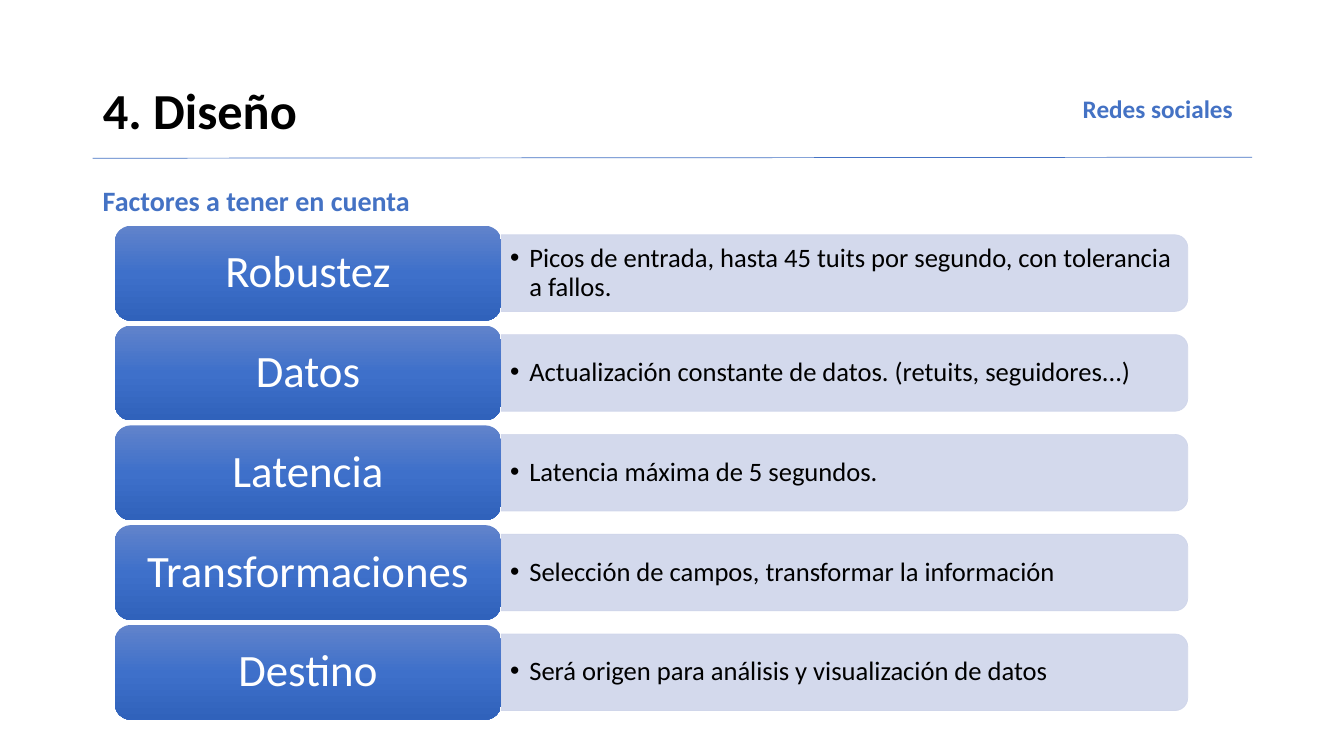
"""Build the design-factors slide: a heading, a rule and five labelled bars."""
import copy
from dataclasses import dataclass

import lxml.etree
import pptx
import pptx.dml.color
import pptx.enum.shapes
import pptx.enum.text
import pptx.oxml.ns
import pptx.util

Inches = pptx.util.Inches
Align = pptx.enum.text.PP_ALIGN
Anchor = pptx.enum.text.MSO_ANCHOR
Shape = pptx.enum.shapes.MSO_SHAPE
qn = pptx.oxml.ns.qn

FONT = "Calibri"
ACCENT = "4472C4"
BAR_COLOUR = "CFD5EA"
LABEL_GRADIENT = ((0, "6183CB"), (0.5, "3E70CA"), (1, "3062BB"))
ROW_TOP, ROW_PITCH = 2.24, 0.99
LABEL_LEFT, LABEL_WIDTH, LABEL_HEIGHT = 1.14, 3.83, 0.94
BAR_LENGTH, BAR_HEIGHT = 6.81, 0.76
TEXT_WIDTH, TEXT_HEIGHT = 6.78, 0.68


@dataclass(frozen=True)
class Factor:
    name: str
    detail: str


@dataclass(frozen=True)
class Heading:
    text: str
    left: float
    top: float
    width: float
    size: float


FACTORS = (
    Factor("Robustez", "Picos de entrada, hasta 45 tuits por segundo, con tolerancia a fallos."),
    Factor("Datos", "Actualización constante de datos. (retuits, seguidores...)"),
    Factor("Latencia", "Latencia máxima de 5 segundos."),
    Factor("Transformaciones", "Selección de campos, transformar la información"),
    Factor("Destino", "Será origen para análisis y visualización de datos"),
)
HEADINGS = (
    Heading("Factores a tener en cuenta", 0.92, 1.7, 6.87, 20),
    Heading("Redes sociales", 10.64, 0.82, 2.21, 18),
)


def colour(value: str) -> pptx.dml.color.RGBColor:
    return pptx.dml.color.RGBColor.from_string(value)


def box(left: float, top: float, width: float, height: float) -> tuple:
    return Inches(left), Inches(top), Inches(width), Inches(height)


def write(shape, text: str, size: float, ink: str, align, anchor,
          bold: bool = False, spacing: float = 0.9, insets: tuple = (0.1, 0.05)):
    frame = shape.text_frame
    frame.text = text
    frame.word_wrap = True
    frame.auto_size = pptx.enum.text.MSO_AUTO_SIZE.NONE
    frame.vertical_anchor = anchor
    frame.margin_left = frame.margin_right = Inches(insets[0])
    frame.margin_top = frame.margin_bottom = Inches(insets[1])
    paragraph = frame.paragraphs[0]
    paragraph.alignment = align
    paragraph.line_spacing = spacing
    font = paragraph.runs[0].font
    font.name, font.size, font.bold = FONT, pptx.util.Pt(size), bold
    font.color.rgb = colour(ink)
    return paragraph


def add_title(slide) -> None:
    title = slide.shapes.title
    title.left, title.top, title.width, title.height = box(0.92, 0.4, 11.5, 1.45)
    write(title, "4. Diseño", 36, "000000", Align.LEFT, Anchor.MIDDLE, bold=True)


def add_rule(slide) -> None:
    rule = slide.shapes.add_connector(
        pptx.enum.shapes.MSO_CONNECTOR.STRAIGHT,
        Inches(0.92), Inches(1.57), Inches(12.42), Inches(1.56))
    rule.line.color.rgb = colour(ACCENT)
    rule.line.width = pptx.util.Pt(0.5)
    lxml.etree.SubElement(rule._element.spPr, qn("a:effectLst"))


def add_heading(slide, heading: Heading) -> None:
    shape = slide.shapes.add_textbox(*box(heading.left, heading.top, heading.width, 0.52))
    paragraph = write(shape, heading.text, heading.size, ACCENT, Align.JUSTIFY,
                      Anchor.TOP, bold=True, spacing=1.2)
    paragraph.space_before = pptx.util.Pt(10)


def add_bar(slide, middle: float) -> None:
    left = LABEL_LEFT + LABEL_WIDTH + (BAR_LENGTH - BAR_HEIGHT) / 2
    bar = slide.shapes.add_shape(
        Shape.ROUND_2_SAME_RECTANGLE,
        *box(left, middle - BAR_LENGTH / 2, BAR_HEIGHT, BAR_LENGTH))
    bar.rotation = 90
    bar.shadow.inherit = False
    bar.fill.solid()
    bar.fill.fore_color.rgb = colour(BAR_COLOUR)
    bar.line.color.rgb = colour(BAR_COLOUR)
    bar.line.width = pptx.util.Pt(0.5)
    for tint in bar._element.spPr.iter(qn("a:srgbClr")):
        lxml.etree.SubElement(tint, qn("a:alpha"), val="90000")


def add_detail(slide, text: str, middle: float) -> None:
    shape = slide.shapes.add_textbox(
        *box(LABEL_LEFT + LABEL_WIDTH + 0.01, middle - TEXT_HEIGHT / 2, TEXT_WIDTH, TEXT_HEIGHT))
    paragraph = write(shape, text, 19, "000000", Align.LEFT, Anchor.MIDDLE, insets=(0.08, 0.04))
    properties = paragraph._p.get_or_add_pPr()
    properties.set("marL", str(Inches(0.19)))
    properties.set("indent", str(-Inches(0.19)))
    lxml.etree.SubElement(properties, qn("a:buFont"), typeface="Arial")
    lxml.etree.SubElement(properties, qn("a:buChar"), char="•")


def add_label(slide, text: str, top: float) -> None:
    label = slide.shapes.add_shape(
        Shape.ROUNDED_RECTANGLE, *box(LABEL_LEFT, top, LABEL_WIDTH, LABEL_HEIGHT))
    label.shadow.inherit = False
    label.line.fill.background()
    label.fill.gradient()
    label.fill.gradient_angle = 270
    stops = label._element.spPr.find(".//" + qn("a:gsLst"))
    stops.insert(1, copy.deepcopy(stops[0]))
    for stop, (position, tint) in zip(label.fill.gradient_stops, LABEL_GRADIENT):
        stop.position = position
        stop.color.rgb = colour(tint)
    write(label, text, 32, "FFFFFF", Align.CENTER, Anchor.MIDDLE, insets=(0.18, 0.12))


def main() -> None:
    presentation = pptx.Presentation()
    presentation.slide_width, presentation.slide_height = Inches(13.33), Inches(7.5)
    slide = presentation.slides.add_slide(presentation.slide_layouts[5])
    add_title(slide)
    add_rule(slide)
    for heading in HEADINGS:
        add_heading(slide, heading)
    for row, factor in enumerate(FACTORS):
        top = ROW_TOP + row * ROW_PITCH
        middle = top + LABEL_HEIGHT / 2
        add_bar(slide, middle)
        add_detail(slide, factor.detail, middle)
        add_label(slide, factor.name, top)
    presentation.save("out.pptx")


if __name__ == "__main__":
    main()
